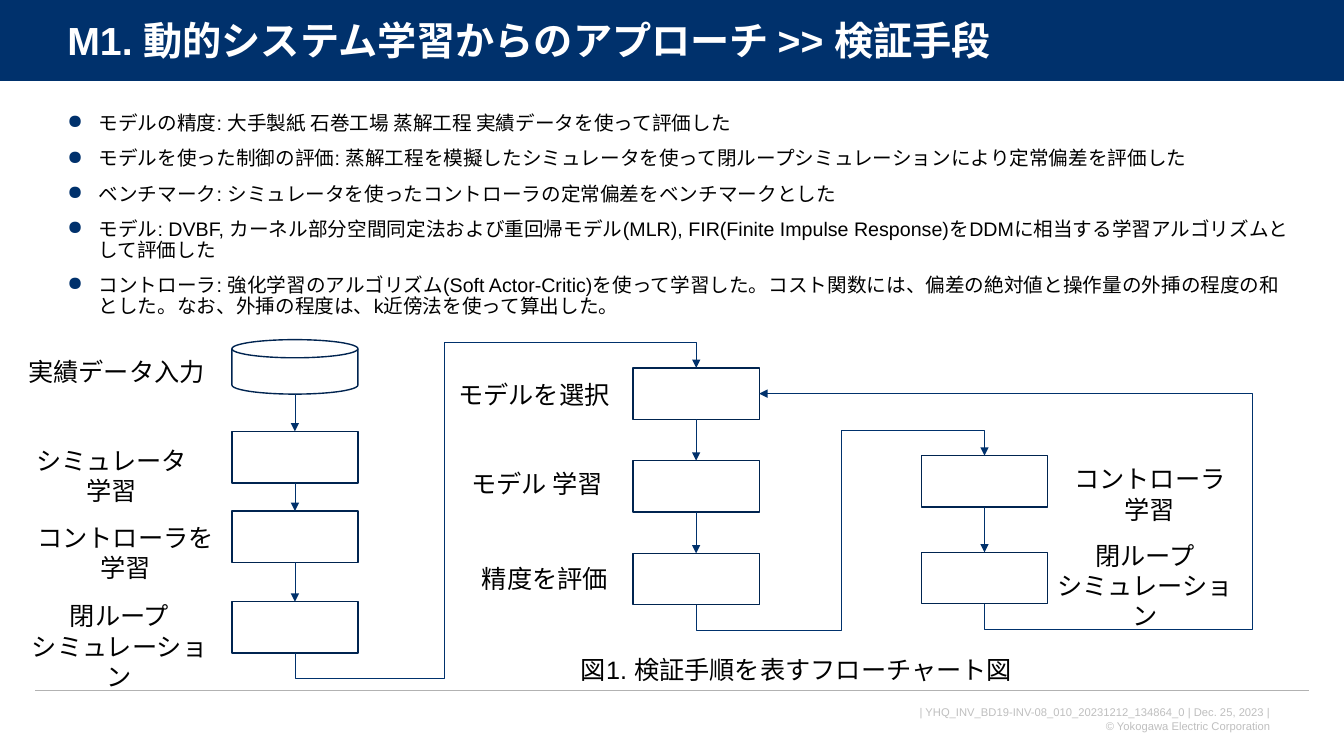
"""Build the slide on verification steps with its flowchart."""
import itertools

import pptx
import pptx.dml.color
import pptx.enum.shapes
import pptx.enum.text
import pptx.util
from lxml import etree
from pptx.oxml.ns import qn
from pptx.util import Inches

NAVY, OUTLINE, WHITE, BLACK = "00316C", "002450", "FFFFFF", "000000"
SHAPE = pptx.enum.shapes.MSO_SHAPE
CONNECTOR = pptx.enum.shapes.MSO_CONNECTOR
ALIGN = pptx.enum.text.PP_ALIGN
TOP, BOTTOM, RIGHT = 0, 2, 3
STEP_WIDTH, STEP_HEIGHT, STUB = 1.25, 0.51, 0.25

TITLE = "M1. 動的システム学習からのアプローチ >> 検証手段"
POINTS = [
    "モデルの精度: 大手製紙 石巻工場 蒸解工程 実績データを使って評価した",
    "モデルを使った制御の評価: 蒸解工程を模擬したシミュレータを使って閉ループシミュレーションにより定常偏差を評価した",
    "ベンチマーク: シミュレータを使ったコントローラの定常偏差をベンチマークとした",
    "モデル: DVBF, カーネル部分空間同定法および重回帰モデル(MLR), FIR(Finite Impulse Response)を"
    "DDMに相当する学習アルゴリズムとして評価した",
    "コントローラ: 強化学習のアルゴリズム(Soft Actor-Critic)を使って学習した。コスト関数には、"
    "偏差の絶対値と操作量の外挿の程度の和とした。なお、外挿の程度は、k近傍法を使って算出した。",
]
FOOTER = [
    "| YHQ_INV_BD19-INV-08_010_20231212_134864_0 | Dec. 25, 2023 |",
    "© Yokogawa Electric Corporation",
]
CLOSED_LOOP = ["閉ループ", "シミュレーション"]
LABELS = [
    (0.16, 3.49, 1.99, ["実績データ入力"]),
    (0.11, 4.37, 1.99, ["シミュレータ 学習"]),
    (0.25, 5.13, 1.99, ["コントローラを学習"]),
    (0.19, 5.91, 1.99, CLOSED_LOOP),
    (4.41, 3.71, 1.77, ["モデルを選択"]),
    (4.44, 4.6, 1.77, ["モデル 学習"]),
    (4.52, 5.54, 1.77, ["精度を評価"]),
    (10.41, 4.55, 1.99, ["コントローラ 学習"]),
    (10.36, 5.31, 1.99, CLOSED_LOOP),
    (5.53, 6.44, 4.74, ["図1. 検証手順を表すフローチャート図"]),
]


def rgb(value):
    """Turn a hex string into a colour."""
    return pptx.dml.color.RGBColor.from_string(value)


def add_text(slide, box, lines, size, color=BLACK, align=ALIGN.LEFT, bold=False):
    """Add a wrapping text box with one paragraph per line and return its frame."""
    frame = slide.shapes.add_textbox(*map(Inches, box)).text_frame
    frame.word_wrap = True
    frame.text = "\n".join(lines)
    for paragraph in frame.paragraphs:
        paragraph.alignment = align
        paragraph.font.name = "Arial"
        paragraph.font.size = pptx.util.Pt(size)
        paragraph.font.bold = bold
        paragraph.font.color.rgb = rgb(color)
    return frame


def add_title(slide):
    """Add the title band and its heading."""
    add_block(slide, SHAPE.RECTANGLE, (0, 0, 13.33, 0.81), NAVY)
    frame = add_text(slide, (0.57, 0.14, 12.47, 0.57), [TITLE], 28, WHITE, bold=True)
    frame.vertical_anchor = pptx.enum.text.MSO_ANCHOR.MIDDLE
    frame.paragraphs[0].line_spacing = 0.9


def add_points(slide):
    """Add the bulleted points."""
    frame = add_text(slide, (0.57, 1.08, 12.4, 2.1), POINTS, 14)
    for index, paragraph in enumerate(frame.paragraphs):
        paragraph.line_spacing = 0.9
        paragraph.space_before = pptx.util.Pt(10 if index else 0)
        properties = paragraph._p.get_or_add_pPr()
        properties.set("marL", str(Inches(0.31)))
        properties.set("indent", str(Inches(-0.31)))
        bullet_color = etree.Element(qn("a:buClr"))
        etree.SubElement(bullet_color, qn("a:srgbClr"), val=NAVY)
        bullet = etree.Element(qn("a:buChar"), char="●")
        default_run = properties.find(qn("a:defRPr"))
        default_run.addprevious(bullet_color)
        default_run.addprevious(bullet)


def add_block(slide, preset, box, fill, line=None):
    """Add a filled preset shape, outlined if a line colour is given."""
    block = slide.shapes.add_shape(preset, *map(Inches, box))
    block.shadow.inherit = False
    block.fill.solid()
    block.fill.fore_color.rgb = rgb(fill)
    if line:
        block.line.color.rgb = rgb(line)
        block.line.width = pptx.util.Pt(1)
    else:
        block.line.fill.background()
    return block


def add_column(slide, left, tops):
    """Add a column of process steps joined by downward arrows."""
    steps = [
        add_block(slide, SHAPE.FLOWCHART_PROCESS, (left, top, STEP_WIDTH, STEP_HEIGHT), WHITE, OUTLINE)
        for top in tops
    ]
    for upper, lower in itertools.pairwise(steps):
        arrow = add_line(slide, (0, 0, 0, 0), NAVY, 0.5, arrowhead=True)
        arrow.begin_connect(upper, BOTTOM)
        arrow.end_connect(lower, TOP)
    return steps


def add_line(slide, ends, color, width, kind=CONNECTOR.STRAIGHT, arrowhead=False):
    """Add a connector, with an arrowhead at its end if asked."""
    line = slide.shapes.add_connector(kind, *map(Inches, ends))
    line.line.color.rgb = rgb(color)
    line.line.width = pptx.util.Pt(width)
    if arrowhead:
        etree.SubElement(line.line._get_or_add_ln(), qn("a:tailEnd"), type="triangle")
    etree.SubElement(line._element.spPr, qn("a:effectLst"))
    return line


def add_detour(slide, source, target, site, lane):
    """Lead an arrow from below source by a vertical lane up to a site of target."""
    arrow = add_line(slide, (0, 0, 0, 0), NAVY, 0.5, CONNECTOR.ELBOW, arrowhead=True)
    arrow.begin_connect(source, BOTTOM)
    arrow.end_connect(target, site)
    start_x, start_y, end_x, end_y = arrow.begin_x, arrow.begin_y, arrow.end_x, arrow.end_y
    rise, run = start_y - end_y, abs(end_x - start_x)
    stub = Inches(STUB) / rise
    bends = [-stub, (Inches(lane) - start_x) / (end_x - start_x)]
    if site == TOP:
        bends.append(1 + stub)

    transform = arrow._element.spPr.find(qn("a:xfrm"))
    transform.set("rot", "5400000")
    transform.set("flipH", "1")
    transform.set("flipV", "1" if end_x > start_x else "0")
    arrow.left, arrow.top = (start_x + end_x - rise) // 2, (start_y + end_y - run) // 2
    arrow.width, arrow.height = rise, run

    geometry = arrow._element.spPr.find(qn("a:prstGeom"))
    geometry.set("prst", f"bentConnector{len(bends) + 2}")
    guides = geometry.find(qn("a:avLst"))
    for number, bend in enumerate(bends, 1):
        etree.SubElement(guides, qn("a:gd"), name=f"adj{number}", fmla=f"val {round(bend * 100000)}")


def add_flowchart(slide):
    """Add the three columns of steps, the arrows between them and the labels."""
    add_block(slide, SHAPE.FLOWCHART_MAGNETIC_DISK, (2.3, 3.37, STEP_WIDTH, 0.54), WHITE, OUTLINE)
    simulator = add_column(slide, 2.3, [4.28, 5.07, 5.97])
    model = add_column(slide, 6.28, [3.65, 4.57, 5.49])
    controller = add_column(slide, 9.14, [4.52, 5.48])

    center = 2.3 + STEP_WIDTH / 2
    data_arrow = add_line(slide, (center, 3.91, center, 4.28), NAVY, 0.5, arrowhead=True)
    data_arrow.end_connect(simulator[0], TOP)
    add_detour(slide, simulator[-1], model[0], TOP, 4.41)
    add_detour(slide, model[-1], controller[0], TOP, 8.34)
    add_detour(slide, controller[-1], model[0], RIGHT, 12.42)

    for left, top, width, lines in LABELS:
        add_text(slide, (left, top, width, 0.1 + 0.3 * len(lines)), lines, 18, align=ALIGN.CENTER)


def main():
    """Build and save the slide."""
    deck = pptx.Presentation()
    deck.slide_width, deck.slide_height = Inches(13.33), Inches(7.5)
    slide = deck.slides.add_slide(deck.slide_layouts[6])
    add_text(slide, (8.96, 6.95, 3.74, 0.37), FOOTER, 8, "BFBFBF", ALIGN.RIGHT)
    add_title(slide)
    add_line(slide, (0, 0.81, 13.33, 0.81), WHITE, 0.75)
    add_line(slide, (0.35, 6.85, 12.98, 6.85), "B2B2B2", 1)
    add_points(slide)
    add_flowchart(slide)
    deck.save("out.pptx")


if __name__ == "__main__":
    main()
